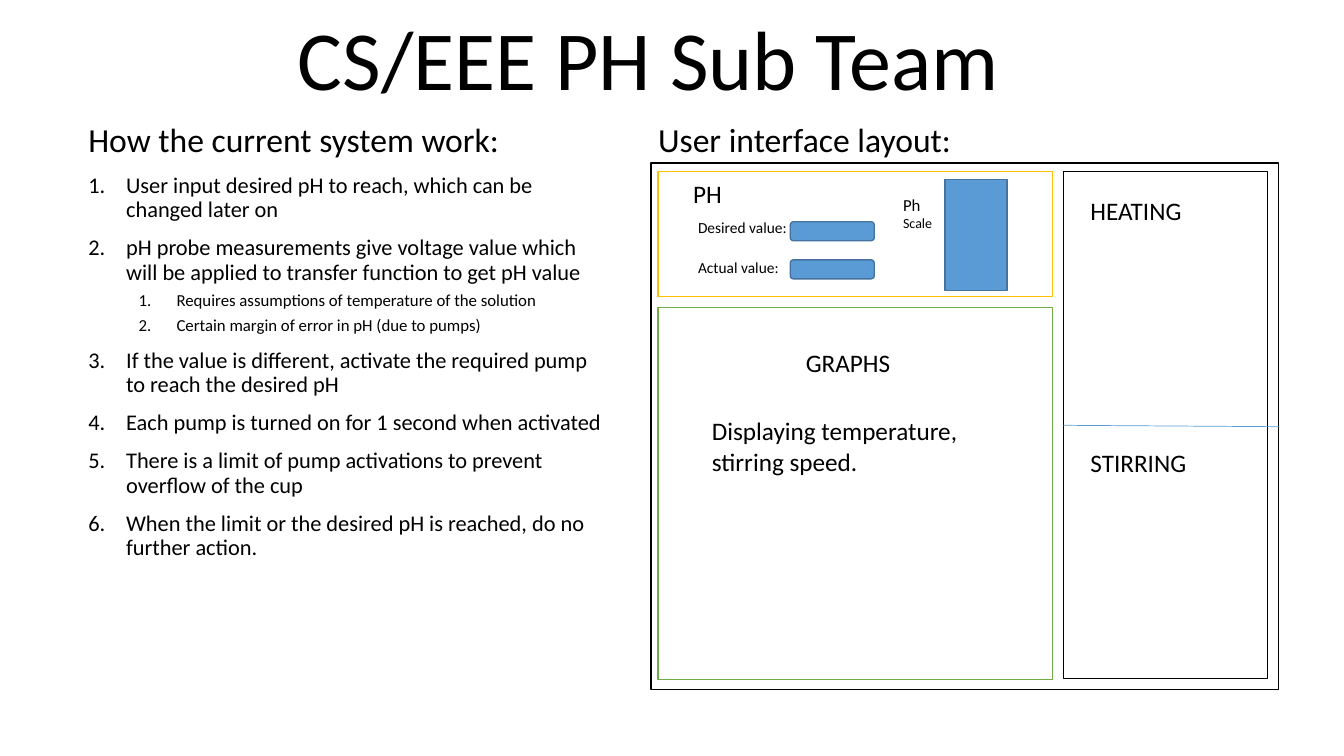
from lxml.etree import SubElement
from pptx import Presentation
from pptx.dml.color import RGBColor
from pptx.enum.shapes import MSO_CONNECTOR, MSO_SHAPE
from pptx.enum.text import MSO_ANCHOR, PP_ALIGN
from pptx.oxml.ns import qn
from pptx.util import Pt

FONT = "Calibri"
COLORS = {
    "text": "000000",
    "panel": "FFFFFF",
    "frame": "000000",
    "graphs": "70AD47",
    "ph": "FFC000",
    "field": "5B9BD5",
    "field_edge": "43739E",
}
STEPS = [
    (0, "User input desired pH to reach, which can be changed later on"),
    (0, "pH probe measurements give voltage value which \vwill be applied to transfer function to get pH value"),
    (1, "Requires assumptions of temperature of the solution"),
    (1, "Certain margin of error in pH (due to pumps)"),
    (0, "If the value is different, activate the required pump\vto reach the desired pH"),
    (0, "Each pump is turned on for 1 second when activated"),
    (0, "There is a limit of pump activations to prevent\voverflow of the cup"),
    (0, "When the limit or the desired pH is reached, do no further action."),
]
STEP_SIZES = (16, 12)
STEP_INDENTS = (27, 63)
STEP_GAPS = (10, 5)
HEADING = {"size": 24, "before": 10, "line_spacing": 0.9}


def color(name):
    return RGBColor.from_string(COLORS[name])


def add_frame(slide, left, top, width, height, anchor=MSO_ANCHOR.TOP):
    frame = slide.shapes.add_textbox(Pt(left), Pt(top), Pt(width), Pt(height)).text_frame
    frame.word_wrap = True
    frame.vertical_anchor = anchor
    return frame


def write(frame, text, size=18, align=PP_ALIGN.LEFT, before=0, line_spacing=1.0, level=0):
    first = frame.paragraphs[0]
    paragraph = frame.add_paragraph() if first.runs else first
    paragraph.text = text
    paragraph.alignment = align
    paragraph.space_before = Pt(before)
    paragraph.line_spacing = line_spacing
    paragraph.level = level
    for run in paragraph.runs:
        run.font.name = FONT
        run.font.size = Pt(size)
        run.font.color.rgb = color("text")
    for line_break in paragraph._p.findall(qn("a:br")):
        SubElement(line_break, qn("a:rPr"), sz=str(size * 100))
    return paragraph


def write_step(frame, level, text):
    step = write(frame, text, size=STEP_SIZES[level], before=STEP_GAPS[level],
                 line_spacing=0.9, level=level)
    properties = step._p.get_or_add_pPr()
    properties.set("marL", str(Pt(STEP_INDENTS[level])))
    properties.set("indent", str(-Pt(27)))
    SubElement(properties, qn("a:buFont"), typeface="+mj-lt")
    SubElement(properties, qn("a:buAutoNum"), type="arabicPeriod")


def add_label(slide, left, top, width, height, text, **text_format):
    write(add_frame(slide, left, top, width, height), text, **text_format)


def add_panel(slide, left, top, width, height, fill="panel", edge="frame", kind=MSO_SHAPE.RECTANGLE):
    panel = slide.shapes.add_shape(kind, Pt(left), Pt(top), Pt(width), Pt(height))
    panel.shadow.inherit = False
    panel.fill.solid()
    panel.fill.fore_color.rgb = color(fill)
    panel.line.color.rgb = color(edge)
    panel.line.width = Pt(1)


def add_divider(slide, x1, y1, x2, y2):
    divider = slide.shapes.add_connector(MSO_CONNECTOR.STRAIGHT, Pt(x1), Pt(y1), Pt(x2), Pt(y2))
    divider.line.color.rgb = color("field")
    divider.line.width = Pt(0.5)
    SubElement(divider._element.spPr, qn("a:effectLst"))


def add_explanation(slide):
    title = add_frame(slide, 103, 0, 720, 81.4, MSO_ANCHOR.BOTTOM)
    write(title, "CS/EEE PH Sub Team", size=60, align=PP_ALIGN.CENTER, line_spacing=0.9)
    explanation = add_frame(slide, 56, 85, 381, 407.5)
    write(explanation, "How the current system work:", **HEADING)
    for level, text in STEPS:
        write_step(explanation, level, text)


def add_ph_panel(slide):
    add_panel(slide, 470, 122.4, 282, 89.5, edge="ph")
    add_label(slide, 488, 124, 243, 29, "PH")
    for text, label_top, field_top in (("Desired value:", 152.6, 158.4), ("Actual value:", 181, 185.6)):
        add_panel(slide, 564.5, field_top, 60, 13.6, fill="field", edge="field_edge",
                  kind=MSO_SHAPE.ROUNDED_RECTANGLE)
        add_label(slide, 491.5, label_top, 120, 21, text, size=11)
    add_panel(slide, 675, 128, 44.4, 79.4, fill="field", edge="field_edge")
    scale = add_frame(slide, 638, 135.4, 37.4, 34)
    write(scale, "Ph", size=12)
    write(scale, "Scale", size=10)


def add_interface(slide):
    add_label(slide, 463, 85, 424, 407.5, "User interface layout:", **HEADING)
    add_panel(slide, 465, 116.6, 448.5, 376)
    add_panel(slide, 470, 219.8, 282, 265.6, edge="graphs")
    add_label(slide, 568.5, 244.4, 83.5, 29, "GRAPHS")
    add_label(slide, 501.4, 293.3, 240, 51, "Displaying temperature, stirring speed.")
    add_ph_panel(slide)
    add_panel(slide, 759.6, 122.4, 146, 362.2)
    add_label(slide, 771.8, 135.6, 124, 29, "HEATING")
    add_divider(slide, 759.6, 303.8, 913.5, 304.8)
    add_label(slide, 771.8, 315.6, 97, 29, "STIRRING")


def main():
    presentation = Presentation()
    presentation.slide_width = Pt(960)
    presentation.slide_height = Pt(540)
    slide = presentation.slides.add_slide(presentation.slide_layouts[6])
    add_explanation(slide)
    add_interface(slide)
    presentation.save("out.pptx")


main()
